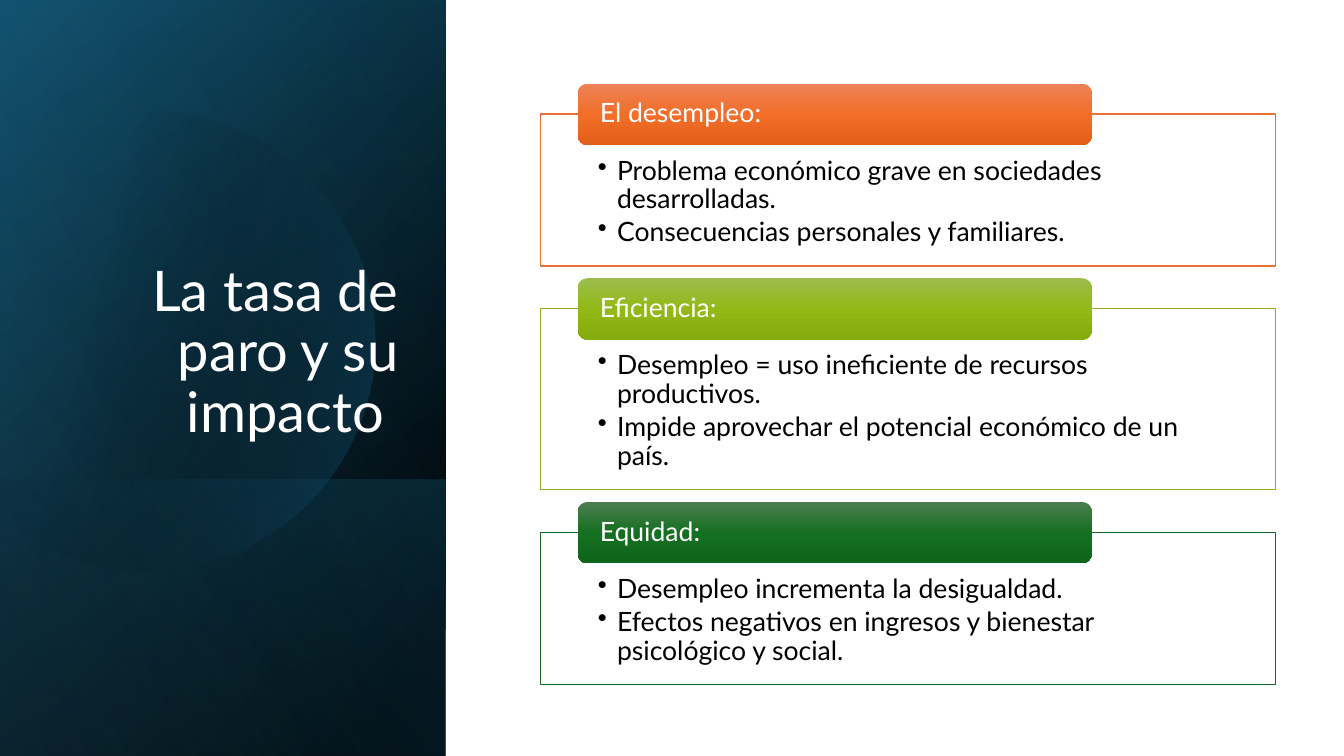
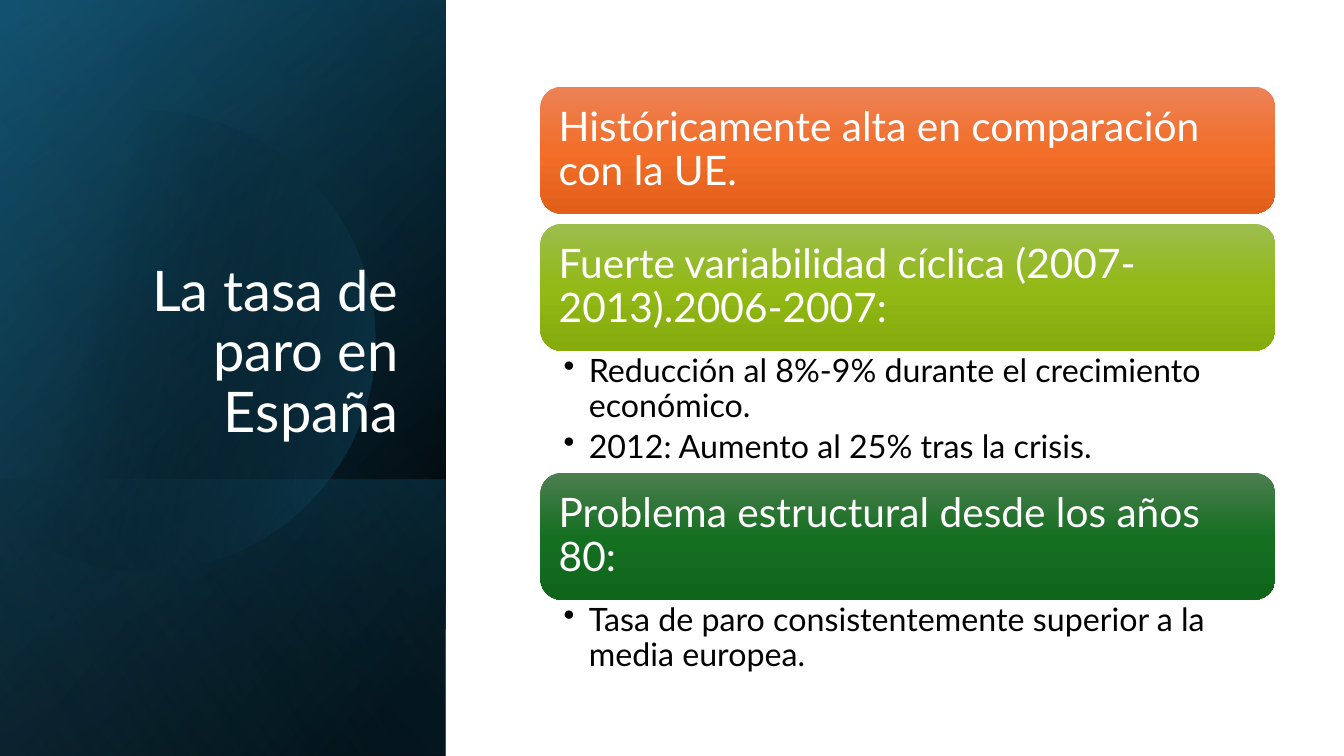
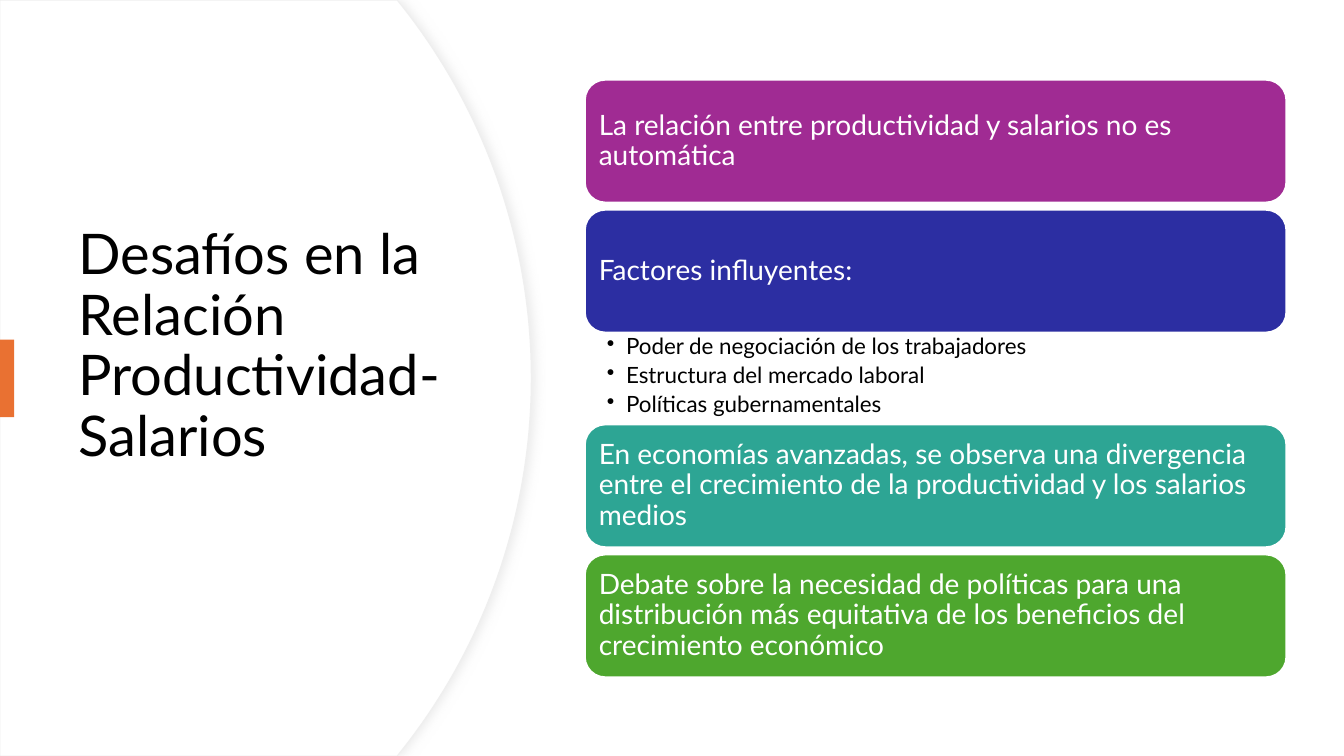
from math import cos, radians, sin
from pptx import Presentation
from pptx.dml.color import RGBColor
from pptx.enum.shapes import MSO_SHAPE
from pptx.enum.text import MSO_ANCHOR, MSO_AUTO_SIZE, PP_ALIGN
from pptx.oxml import parse_xml
from pptx.oxml.ns import nsdecls, qn
from pptx.util import Inches, Pt

RECT, ROUND = MSO_SHAPE.RECTANGLE, MSO_SHAPE.ROUNDED_RECTANGLE
TOP, MID, LOW = MSO_ANCHOR.TOP, MSO_ANCHOR.MIDDLE, MSO_ANCHOR.BOTTOM
LEFT, RIGHT = PP_ALIGN.LEFT, PP_ALIGN.RIGHT
FIXED = MSO_AUTO_SIZE.NONE
FONT, WHITE, BLACK = "Lato", "FFFFFF", "000000"

# Gradient stops: position, colour, opacity (100 when left out)
ORANGE = [(0, "ED8257"), (50, "F26E29"), (100, "E25F1A")]
LIME = [(0, "9CBD4E"), (50, "92B916"), (100, "85AB0D")]
GREEN = [(0, "4D7E50"), (50, "156F21"), (100, "0F661B")]


def paint(shape, fill, angle=90, line=None, width=1):
    """Fill with a hex colour or a list of gradient stops, and set the line."""
    shape.shadow.inherit = False
    if isinstance(fill, str):
        shape.fill.solid()
        shape.fill.fore_color.rgb = RGBColor.from_string(fill)
    else:
        stops = "".join(
            f'<a:gs pos="{pos * 1000}"><a:srgbClr val="{tint}">'
            f'<a:alpha val="{(alpha or [100])[0] * 1000}"/></a:srgbClr></a:gs>'
            for pos, tint, *alpha in fill)
        shape.fill.background()
        props = shape._element.spPr
        props.replace(props.find(qn("a:noFill")), parse_xml(
            f'<a:gradFill {nsdecls("a")} rotWithShape="1"><a:gsLst>{stops}</a:gsLst>'
            f'<a:lin ang="{angle * 60000}" scaled="0"/></a:gradFill>'))
    if line:
        shape.line.color.rgb = RGBColor.from_string(line)
        shape.line.width = Pt(width)
    else:
        shape.line.fill.background()


def write(shape, lines, size, tint, pad, anchor=MID, align=LEFT, after=0, hang=0):
    """Set the paragraphs of a shape; a hanging indent gives them bullets."""
    frame = shape.text_frame
    frame.text = "\n".join(lines)
    frame.word_wrap, frame.auto_size = True, FIXED
    frame.vertical_anchor = anchor
    (frame.margin_left, frame.margin_top,
     frame.margin_right, frame.margin_bottom) = map(Inches, pad)
    for para in frame.paragraphs:
        if hang:
            props = para._p.get_or_add_pPr()
            props.set("marL", str(Inches(hang)))
            props.set("indent", str(-Inches(hang)))
            props.append(parse_xml(f'<a:buChar {nsdecls("a")} char="•"/>'))
        para.alignment, para.line_spacing = align, 0.9
        para.space_before, para.space_after = Pt(0), Pt(after)
        para.font.name, para.font.size = FONT, Pt(size)
        para.font.color.rgb = RGBColor.from_string(tint)


deck = Presentation()
deck.slide_width, deck.slide_height = Inches(13.33), Inches(7.5)

# Dark side panel: turned rectangles as box, stops, angle
FULL = (-1.54, 1.54, 7.5, 4.42)
PANEL = [
    (FULL, [(8, BLACK), (100, "104862")], 50),
    (FULL, [(0, BLACK, 0), (99, "156082", 46)], 30),
    ((0.84, 3.92, 2.74, 4.42), [(2, "156082", 29), (100, BLACK, 30)], 130),
    (FULL, [(0, BLACK, 0), (99, "46B1E1", 11)], 120),
]
# Disc: centre x, centre y, radius, half angle in degrees
GLOW = (1.44, 3.38, 2.28, 129.17)
DOME = (-0.68, 3.75, 5.95, 39.07)
HALO = [(29, BLACK, 0), (100, "156082", 43)]

SIDE = dict(panel=PANEL, disc=GLOW, fill=HALO, line=None, box=(0.64, 1.84, 3.41, 2.62),
            text=dict(tint=WHITE, pad=(0.1, 0.05, 0.1, 0.05), anchor=LOW, align=RIGHT))
OPEN = dict(panel=[], disc=DOME, fill=WHITE, line="EFEFEF", box=(0.68, 1.27, 3.94, 4.95),
            text=dict(tint=BLACK, pad=(0.1, 0.05, 0.1, 0.65)))

# Backgrounds and titles
pages = []
for title, look in [(" La tasa de paro y su impacto ", SIDE),
                    ("La tasa de paro en España", SIDE),
                    ("Desafíos en la Relación Productividad-Salarios", OPEN)]:
    slide = deck.slides.add_slide(deck.slide_layouts[5])
    shapes = slide.shapes
    pages.append(shapes)
    for box, stops, angle in look["panel"]:
        layer = shapes.add_shape(RECT, *map(Inches, box))
        layer.rotation = 90
        layer._element.spPr.find(qn("a:xfrm")).set("flipH", "1")
        paint(layer, stops, angle)

    # Arc closed along the left edge of the slide
    x, y, r, half = look["disc"]
    arc = [radians(half * step / 40) for step in range(-40, 41)]
    dots = [(max(0, x + r * cos(a)), y + r * sin(a)) for a in arc]
    dots += [(0, dots[-1][1]), (0, dots[0][1])]
    dots = [(Inches(px), Inches(py)) for px, py in dots]
    pen = shapes.build_freeform(*dots[0])
    pen.add_line_segments(dots[1:])
    disc = pen.convert_to_shape()
    paint(disc, look["fill"], 14, look["line"], 0.75)
    if look is OPEN:
        disc._element.spPr.find(qn("a:effectLst")).append(parse_xml(
            f'<a:outerShdw {nsdecls("a")} blurRad="{Pt(7)}" dist="{Pt(3)}" dir="0">'
            '<a:srgbClr val="D9D9D9"><a:alpha val="50000"/></a:srgbClr></a:outerShdw>'))

    # Title above the background
    head = shapes.title
    head.left, head.top, head.width, head.height = map(Inches, look["box"])
    write(head, [title], 40, **look["text"])
    shapes._spTree.append(head._element)

# Slide 1: framed lists with a tab on each
top = 1.13
for name, tab, edge, high, items in [
    ("El desempleo:", ORANGE, "E97132", 1.51,
     ["Problema económico grave en sociedades desarrolladas.",
      "Consecuencias personales y familiares."]),
    ("Eficiencia:", LIME, "8EB21E", 1.8,
     ["Desempleo = uso ineficiente de recursos productivos.",
      "Impide aprovechar el potencial económico de un país."]),
    ("Equidad:", GREEN, "196B24", 1.51,
     ["Desempleo incrementa la desigualdad.",
      "Efectos negativos en ingresos y bienestar psicológico y social."]),
]:
    frame = pages[0].add_shape(RECT, *map(Inches, (5.36, top, 7.29, high)))
    paint(frame, WHITE, line=edge)
    write(frame, items, 19, BLACK, (0.57, 0.43, 0.57, 0.15), TOP, after=3, hang=0.19)
    label = pages[0].add_shape(ROUND, *map(Inches, (5.73, top - 0.3, 5.1, 0.61)))
    paint(label, tab)
    write(label, [name], 19, WHITE, (0.19, 0, 0.19, 0))
    top += high + 0.42

# Slides 2 and 3: stacked bars, some with a list below (height, items)
CYCLE = dict(left=5.36, top=0.86, wide=7.29, high=1.26, gap=0.1, size=29, pad=0.12,
             line=None, small=23, inset=(0.23, 0.04, 0.23, 0.04), after=4.5, hang=0.25)
WAGES = dict(left=5.8, top=0.79, wide=6.96, high=1.22, gap=0.07, size=20, pad=0.08,
             line=WHITE, small=16, inset=(0.22, 0.03, 0.16, 0.03), after=3.3, hang=0.19)
cycle = [
    ("Históricamente alta en comparación con la UE.", ORANGE, 0, []),
    ("Fuerte variabilidad cíclica (2007-2013).2006-2007:", LIME, 1.21,
     ["Reducción al 8%-9% durante el crecimiento económico.",
      "2012: Aumento al 25% tras la crisis."]),
    ("Problema estructural desde los años 80:", GREEN, 0.79,
     ["Tasa de paro consistentemente superior a la media europea."]),
]
wages = [
    ("La relación entre productividad y salarios no es automática", "A02B93", 0, []),
    ("Factores influyentes:", "2C2EA2", 0.91,
     ["Poder de negociación de los trabajadores",
      "Estructura del mercado laboral",
      "Políticas gubernamentales"]),
    ("En economías avanzadas, se observa una divergencia entre el crecimiento "
     "de la productividad y los salarios medios", "2DA594", 0, []),
    ("Debate sobre la necesidad de políticas para una distribución más equitativa "
     "de los beneficios del crecimiento económico", "4EA72E", 0, []),
]
for shapes, look, rows in [(pages[1], CYCLE, cycle), (pages[2], WAGES, wages)]:
    left, top, wide, high = (look[key] for key in ("left", "top", "wide", "high"))
    for text, fill, deep, items in rows:
        bar = shapes.add_shape(ROUND, *map(Inches, (left, top, wide, high)))
        paint(bar, fill, line=look["line"], width=1.5)
        write(bar, [text], look["size"], WHITE, [look["pad"]] * 4)
        top += high
        if items:
            notes = shapes.add_textbox(*map(Inches, (left, top, wide, deep)))
            write(notes, items, look["small"], BLACK, look["inset"], TOP,
                  after=look["after"], hang=look["hang"])
        top += deep or look["gap"]

# Slide 3: accent mark on the left edge
mark = pages[2].add_shape(RECT, *map(Inches, (0, 3.37, 0.14, 0.77)))
paint(mark, "E97132")

deck.save("out.pptx")
